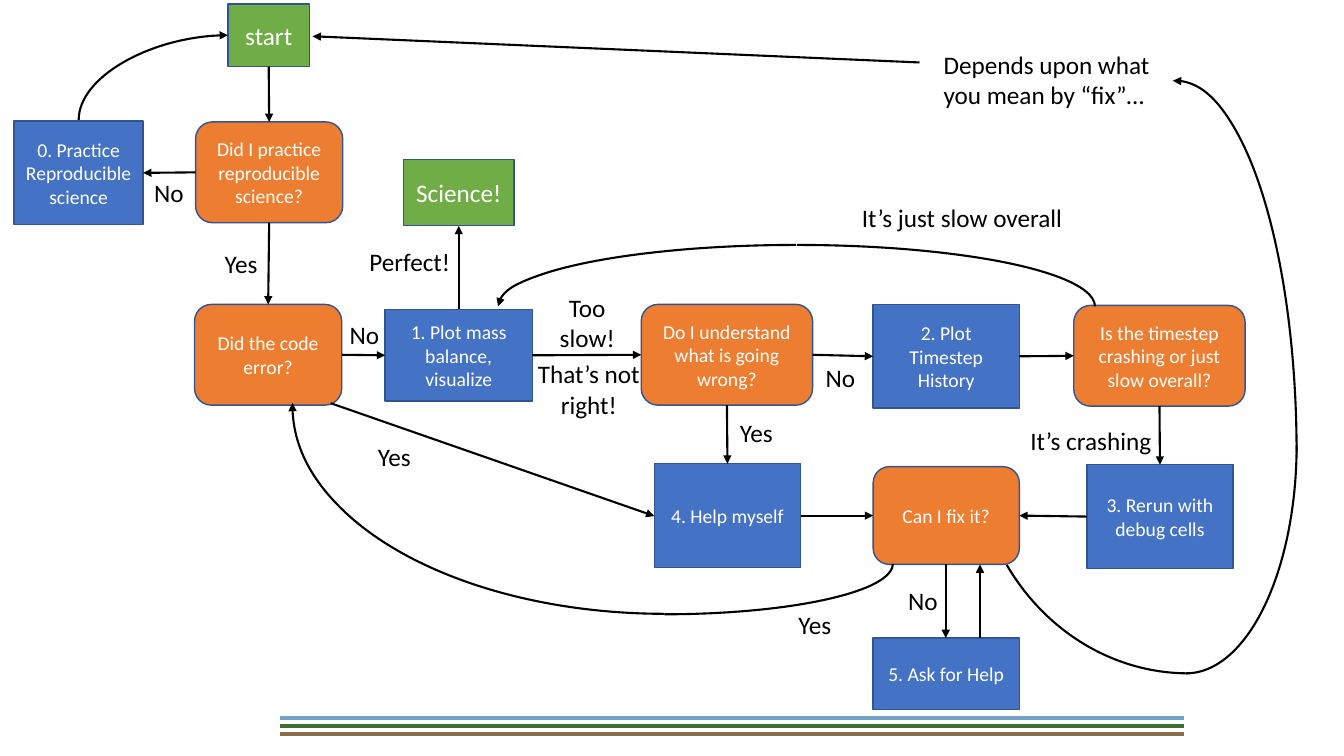
from pptx import Presentation
from pptx.dml.color import RGBColor
from pptx.enum.shapes import MSO_CONNECTOR as CONNECTOR, MSO_SHAPE as SHAPE
from pptx.enum.text import MSO_ANCHOR as ANCHOR, MSO_AUTO_SIZE as AUTO_SIZE, PP_ALIGN as ALIGN
from pptx.oxml.ns import qn
from pptx.util import Inches, Pt
from lxml import etree

WHITE = RGBColor(0xFF, 0xFF, 0xFF)
BLACK = RGBColor(0, 0, 0)
GREEN = RGBColor(0x70, 0xAD, 0x47)
BLUE = RGBColor(0x44, 0x72, 0xC4)
ORANGE = RGBColor(0xED, 0x7D, 0x31)
BORDER = RGBColor(0x32, 0x54, 0x91)
STRIPE_BLUE = RGBColor(0x71, 0xA2, 0xC6)
STRIPE_GREEN = RGBColor(0x3F, 0x6E, 0x35)
STRIPE_BROWN = RGBColor(0x8B, 0x6E, 0x4A)
TOP, LEFT, BOTTOM, RIGHT = range(4)


def write_text(shape, text, size=18, color=BLACK, align=ALIGN.LEFT, anchor=ANCHOR.TOP, wrap=True):
    frame = shape.text_frame
    frame.word_wrap = wrap
    frame.vertical_anchor = anchor
    paragraph = frame.paragraphs[0]
    paragraph.text = text
    paragraph.alignment = align
    paragraph.font.name = "Calibri"
    paragraph.font.size = Pt(size)
    paragraph.font.color.rgb = color


def draw_outline(shape, color=BLACK, width=1.5, arrow=None):
    shape.line.color.rgb = color
    shape.line.width = Pt(width)
    properties = shape.element.spPr
    if arrow:
        etree.SubElement(properties.find(qn("a:ln")), qn(f"a:{arrow}")).set("type", "triangle")
    etree.SubElement(properties, qn("a:effectLst"))


presentation = Presentation()
presentation.slide_width = Inches(13.33)
presentation.slide_height = Inches(7.5)
slide = presentation.slides.add_slide(presentation.slide_layouts[6])
shapes = slide.shapes

for row, color in enumerate((STRIPE_BLUE, STRIPE_GREEN, STRIPE_BROWN)):
    y = Inches(7.12 + 0.08 * row)
    stripe = shapes.add_connector(CONNECTOR.STRAIGHT, Inches(11.74), y, Inches(2.78), y)
    draw_outline(stripe, color, 3)

box_styles = {
    "end": (SHAPE.RECTANGLE, GREEN, 18),
    "step": (SHAPE.RECTANGLE, BLUE, 14),
    "question": (SHAPE.ROUNDED_RECTANGLE, ORANGE, 14),
}
box_rows = [
    ("start", "end", "start", 2.26, 0.04, 0.81, 0.62),
    ("plot", "step", "1. Plot mass balance, visualize", 3.82, 3.07, 1.46, 0.91),
    ("practice", "step", "0. Practice Reproducible science", 0.14, 1.2, 1.28, 1.03),
    ("help myself", "step", "4. Help myself", 6.49, 4.6, 1.45, 1.03),
    ("ask", "step", "5. Ask for Help", 8.66, 6.33, 1.45, 0.71),
    ("history", "step", "2. Plot Timestep History", 8.66, 3.02, 1.45, 1.03),
    ("rerun", "step", "3. Rerun with debug cells", 10.78, 4.61, 1.45, 1.03),
    ("science", "end", "Science!", 4, 1.58, 1.1, 0.66),
    ("reproducible?", "question", "Did I practice reproducible science?", 1.94, 1.21, 1.46, 1),
    ("error?", "question", "Did the code error?", 1.93, 3.02, 1.46, 1),
    ("understand?", "question", "Do I understand what is going wrong?", 6.36, 3.02, 1.7, 1),
    ("timestep?", "question", "Is the timestep crashing or just slow overall?", 10.65, 3.03, 1.7, 1),
    ("fix?", "question", "Can I fix it?", 8.66, 4.63, 1.45, 0.97),
]
boxes = {}
for name, style, text, *bounds in box_rows:
    preset, color, size = box_styles[style]
    box = shapes.add_shape(preset, *map(Inches, bounds))
    box.fill.solid()
    box.fill.fore_color.rgb = color
    draw_outline(box, BORDER, 1)
    write_text(box, text, size=size, color=WHITE, align=ALIGN.CENTER, anchor=ANCHOR.MIDDLE)
    boxes[name] = box

links = [
    ("start", BOTTOM, "reproducible?", TOP),
    ("reproducible?", LEFT, "practice", RIGHT),
    ("reproducible?", BOTTOM, "error?", TOP),
    ("error?", RIGHT, "plot", LEFT),
    ("plot", TOP, "science", BOTTOM),
    ("plot", RIGHT, "understand?", LEFT),
    ("understand?", BOTTOM, "help myself", TOP),
    ("understand?", RIGHT, "history", LEFT),
    ("history", RIGHT, "timestep?", LEFT),
    ("timestep?", BOTTOM, "rerun", TOP),
    ("rerun", LEFT, "fix?", RIGHT),
    ("help myself", RIGHT, "fix?", LEFT),
]
for source, source_side, target, target_side in links:
    link = shapes.add_connector(CONNECTOR.STRAIGHT, 0, 0, 0, 0)
    link.begin_connect(boxes[source], source_side)
    link.end_connect(boxes[target], target_side)
    draw_outline(link, arrow="tailEnd")

free_arrows = [
    (3.28, 4, 6.49, 5.12),
    (9.72, 6.33, 9.72, 5.6),
    (9.38, 5.6, 9.38, 6.33),
    (9.12, 0.62, 3.1, 0.36),
]
for points in free_arrows:
    arrow = shapes.add_connector(CONNECTOR.STRAIGHT, *map(Inches, points))
    draw_outline(arrow, arrow="tailEnd")

restart = shapes.add_connector(CONNECTOR.CURVE, *map(Inches, (1.1, 0.03, 1.94, 1.51)))
restart.element.spPr.find(qn("a:prstGeom")).set("prst", "curvedConnector2")
for key, value in (("rot", "5400000"), ("flipH", "1"), ("flipV", "1")):
    restart.element.spPr.xfrm.set(key, value)
draw_outline(restart, arrow="tailEnd")

arcs = [
    ((4.95, 2.43, 5.91, 1.22), 0, False, (162, 0), None),
    ((4.94, 2.43, 5.91, 1.22), 0, True, (162, 0), "tailEnd"),
    ((6.09, 3.33, 1, 4.53), 90, False, (162, 0), None),
    ((4.52, 0.33, 4.14, 7.38), 270, True, (161.79, 0), "headEnd"),
    ((10.67, 2.15, 2.19, 4.53), 180, True, (162, 0), None),
    ((10.45, 0.8, 2.41, 7.38), 0, False, (161.79, 0), "headEnd"),
    ((9.65, 2.03, 4.27, 4.65), 180, False, (162, 195.17), None),
]
for bounds, rotation, flipped, angles, arrow in arcs:
    arc = shapes.add_shape(SHAPE.ARC, *map(Inches, bounds))
    arc.rotation = rotation
    if flipped:
        arc.element.spPr.xfrm.set("flipH", "1")
    arc.adjustments[0], arc.adjustments[1] = angles
    arc.fill.background()
    draw_outline(arc, arrow=arrow)

labels = [
    ("Yes", 3.65, 4.33, 0.53, 0.4, ALIGN.LEFT, False),
    ("No", 3.37, 3.12, 0.5, 0.4, ALIGN.LEFT, False),
    ("Yes", 7.24, 4.09, 0.53, 0.4, ALIGN.LEFT, False),
    ("No", 8.91, 5.76, 0.5, 0.4, ALIGN.LEFT, False),
    ("It’s just slow overall", 8.45, 1.96, 2.21, 0.4, ALIGN.LEFT, False),
    ("It’s crashing", 10.12, 4.17, 1.41, 0.4, ALIGN.LEFT, False),
    ("Depends upon what you mean by “fix”…", 9.26, 0.44, 2.39, 0.71, ALIGN.LEFT, True),
    ("No", 8.03, 3.55, 0.55, 0.4, ALIGN.RIGHT, True),
    ("That’s not right!", 5.07, 3.51, 1.54, 0.71, ALIGN.CENTER, True),
    ("Too slow!", 5.31, 2.85, 1.03, 0.71, ALIGN.CENTER, True),
    ("Yes", 2.13, 2.41, 0.53, 0.4, ALIGN.LEFT, False),
    ("No", 1.43, 1.71, 0.5, 0.4, ALIGN.LEFT, False),
    ("Yes", 7.82, 6, 0.53, 0.4, ALIGN.LEFT, False),
    ("Perfect!", 3.55, 2.39, 1.03, 0.4, ALIGN.CENTER, True),
]
for text, left, top, width, height, align, wrap in labels:
    label = shapes.add_textbox(*map(Inches, (left, top, width, height)))
    write_text(label, text, align=align, wrap=wrap)
    label.text_frame.auto_size = AUTO_SIZE.SHAPE_TO_FIT_TEXT

presentation.save("out.pptx")
